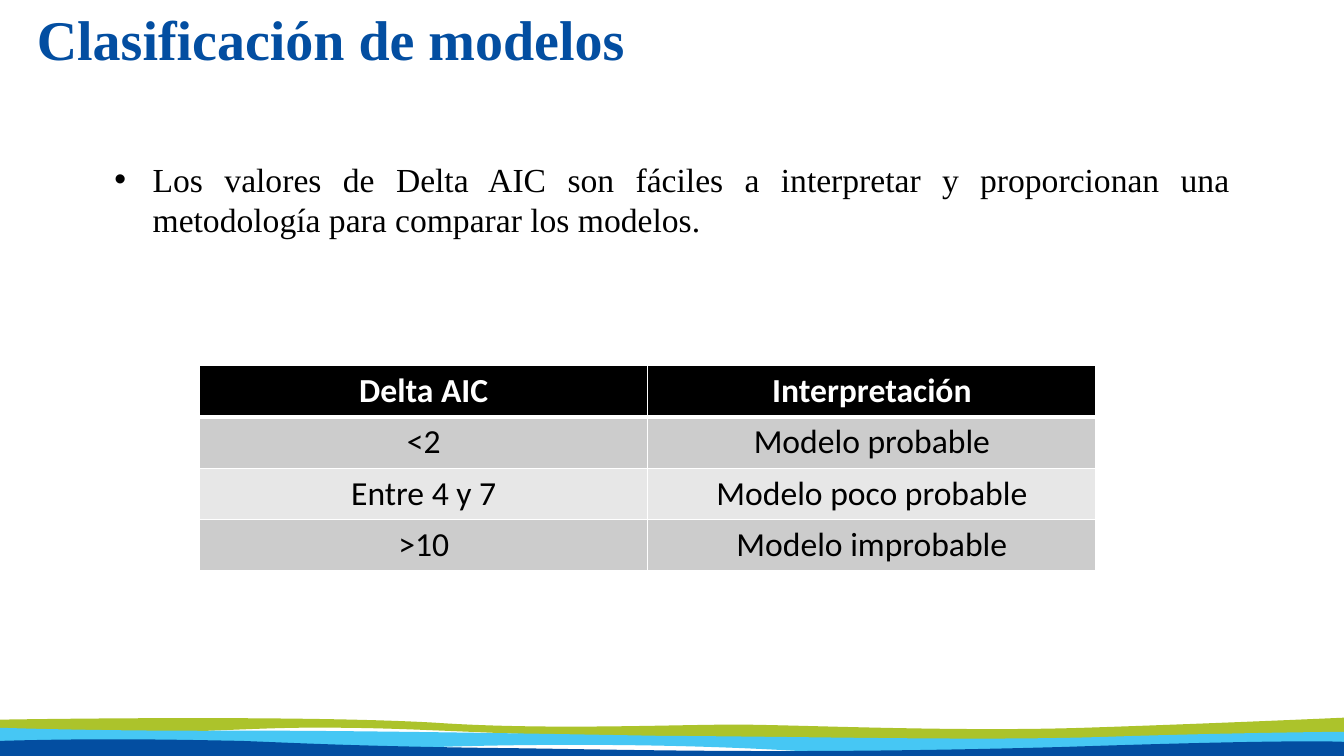
from lxml import etree
from pptx import Presentation
from pptx.dml.color import RGBColor
from pptx.enum.text import MSO_ANCHOR, MSO_AUTO_SIZE, PP_ALIGN
from pptx.oxml.ns import qn
from pptx.util import Inches, Pt

LEFT, CENTER, JUSTIFY = PP_ALIGN.LEFT, PP_ALIGN.CENTER, PP_ALIGN.JUSTIFY
MIDDLE, TOP = MSO_ANCHOR.MIDDLE, MSO_ANCHOR.TOP
NO_AUTOFIT = MSO_AUTO_SIZE.NONE

WIDTH, HEIGHT = 13.33, 7.5
BLEED = 7.54
ROW_HEIGHT = 0.41
COLORS = {
    "blue": "034EA1", "sky": "46C7F4", "green": "ACC32B",
    "black": "000000", "white": "FFFFFF",
    "odd_row": "CCCCCC", "even_row": "E7E7E7",
}
HEADER_BORDERS = {"a:lnL": 1, "a:lnR": 1, "a:lnT": 1, "a:lnB": 3}
INTERPRETATION = [
    ("Delta AIC", "Interpretación"),
    ("<2", "Modelo probable"),
    ("Entre 4 y 7", "Modelo poco probable"),
    (">10", "Modelo improbable"),
]
WAVES = [
    ("green", (0, 7.14), [
        (0, 7.14, 2.91, 7.09, 4.31, 7.17), (5.48, 7.25, 6.85, 7.18, 7.43, 7.19),
        (8.14, 7.2, 9.55, 7.26, 10.77, 7.22), (11.99, 7.18, WIDTH, 7.12, WIDTH, 7.12),
        (WIDTH, 7.31), (WIDTH, 7.31, 11.05, 7.36, 9.51, 7.35),
        (5.31, 7.35, 4.5, 7.22, 3.26, 7.22), (2.34, 7.21, 1.74, 7.31, 0, 7.26),
    ]),
    ("sky", (0, 7.22), [
        (0, 7.22, 0.85, 7.25, 2.08, 7.25), (3.27, 7.24, 5.95, 7.29, 6.53, 7.3),
        (8.19, 7.31, 9.76, 7.35, 10.98, 7.31), (12.2, 7.27, WIDTH, 7.26, WIDTH, 7.26),
        (WIDTH, 7.42), (WIDTH, 7.42, 9.71, 7.56, 7.91, 7.45),
        (6.4, 7.36, 4.63, 7.38, 3.45, 7.45), (2.55, 7.51, 1.76, 7.36, 0, 7.41),
    ]),
    ("blue", (0, 7.35), [
        (0, BLEED), (WIDTH, BLEED), (WIDTH, 7.36),
        (WIDTH, 7.36, 12.95, 7.33, 10.56, 7.41), (7.7, 7.49, 6.03, 7.43, 4.84, 7.42),
        (3.45, 7.4, 2.92, 7.37, 2.39, 7.35), (1.86, 7.34, 1.04, 7.32, 0, 7.35),
    ]),
]


def rgb(name):
    return RGBColor.from_string(COLORS[name])


def area(left, top, width, height):
    return [Inches(size * percent / 100) for size, percent in
            zip((WIDTH, HEIGHT) * 2, (left, top, width, height))]


def bend_edges(wave, segments):
    edges = list(wave._element.iter(qn("a:lnTo")))
    for edge, segment in zip(edges, segments):
        if len(segment) == 2:
            continue
        edge.tag = qn("a:cubicBezTo")
        end = edge[0]
        for x, y in (segment[:2], segment[2:4]):
            control = etree.Element(qn("a:pt"), x=str(Inches(x) - wave.left),
                                    y=str(Inches(y) - wave.top))
            end.addprevious(control)


def add_wave(slide, color, start, segments):
    builder = slide.shapes.build_freeform(Inches(start[0]), Inches(start[1]))
    builder.add_line_segments([(Inches(s[-2]), Inches(s[-1])) for s in segments], close=True)
    wave = builder.convert_to_shape()
    bend_edges(wave, segments)
    wave.fill.solid()
    wave.fill.fore_color.rgb = rgb(color)
    wave.line.fill.background()
    wave.shadow.inherit = False


def style(paragraph, size, font, color, align, bold=False):
    paragraph.alignment = align
    paragraph.font.size = Pt(size)
    paragraph.font.name = font
    paragraph.font.bold = bold
    paragraph.font.color.rgb = rgb(color)


def fill_placeholder(placeholder, text, box, anchor):
    placeholder.left, placeholder.top, placeholder.width, placeholder.height = box
    frame = placeholder.text_frame
    frame.text = text
    frame.word_wrap = True
    frame.auto_size = NO_AUTOFIT
    frame.vertical_anchor = anchor
    return frame


def add_title(slide, text):
    frame = fill_placeholder(slide.shapes.title, text, area(2.74, 1.6, 94.5, 8.13), MIDDLE)
    frame.margin_left = frame.margin_right = frame.margin_top = frame.margin_bottom = 0
    heading = frame.paragraphs[0]
    heading.line_spacing = 0.9
    style(heading, 40, "Times New Roman", "blue", LEFT, bold=True)


def add_bullet(slide, text):
    frame = fill_placeholder(slide.placeholders[1], text, area(7.76, 20.3, 84.5, 28.27), TOP)
    statement = frame.paragraphs[0]
    statement.space_before = Pt(0)
    properties = statement._p.get_or_add_pPr()
    properties.set("marL", str(Inches(0.38)))
    properties.set("indent", str(-Inches(0.38)))
    etree.SubElement(properties, qn("a:buFont"), typeface="Arial")
    etree.SubElement(properties, qn("a:buChar"), char="•")
    style(statement, 24, "Times New Roman", "black", JUSTIFY)


def add_header_borders(cell):
    properties = cell._tc.get_or_add_tcPr()
    for position, (side, points) in enumerate(HEADER_BORDERS.items()):
        border = etree.Element(qn(side), w=str(Pt(points)))
        fill = etree.SubElement(border, qn("a:solidFill"))
        etree.SubElement(fill, qn("a:srgbClr"), val=COLORS["white"])
        properties.insert(position, border)


def add_interpretation_table(slide, rows):
    box = area(14.85, 48.4, 66.7, 26.67)
    holder = slide.shapes.add_table(len(rows), len(rows[0]), *box)
    table = holder.table
    for r, row in enumerate(rows):
        table.rows[r].height = Inches(ROW_HEIGHT)
        header = r == 0
        background = "black" if header else "odd_row" if r % 2 else "even_row"
        for c, text in enumerate(row):
            cell = table.cell(r, c)
            cell.text = text
            cell.fill.solid()
            cell.fill.fore_color.rgb = rgb(background)
            if header:
                add_header_borders(cell)
            style(cell.text_frame.paragraphs[0], 24, "Calibri",
                  "white" if header else "black", CENTER, bold=header)
    holder.height = box[3]


def main():
    deck = Presentation()
    deck.slide_width, deck.slide_height = Inches(WIDTH), Inches(HEIGHT)
    slide = deck.slides.add_slide(deck.slide_layouts[1])
    for color, start, segments in WAVES:
        add_wave(slide, color, start, segments)
    add_title(slide, "Clasificación de modelos")
    add_bullet(slide, "Los valores de Delta AIC son fáciles a interpretar y "
                      "proporcionan una metodología para comparar los modelos.")
    add_interpretation_table(slide, INTERPRETATION)
    deck.save("out.pptx")


if __name__ == "__main__":
    main()
